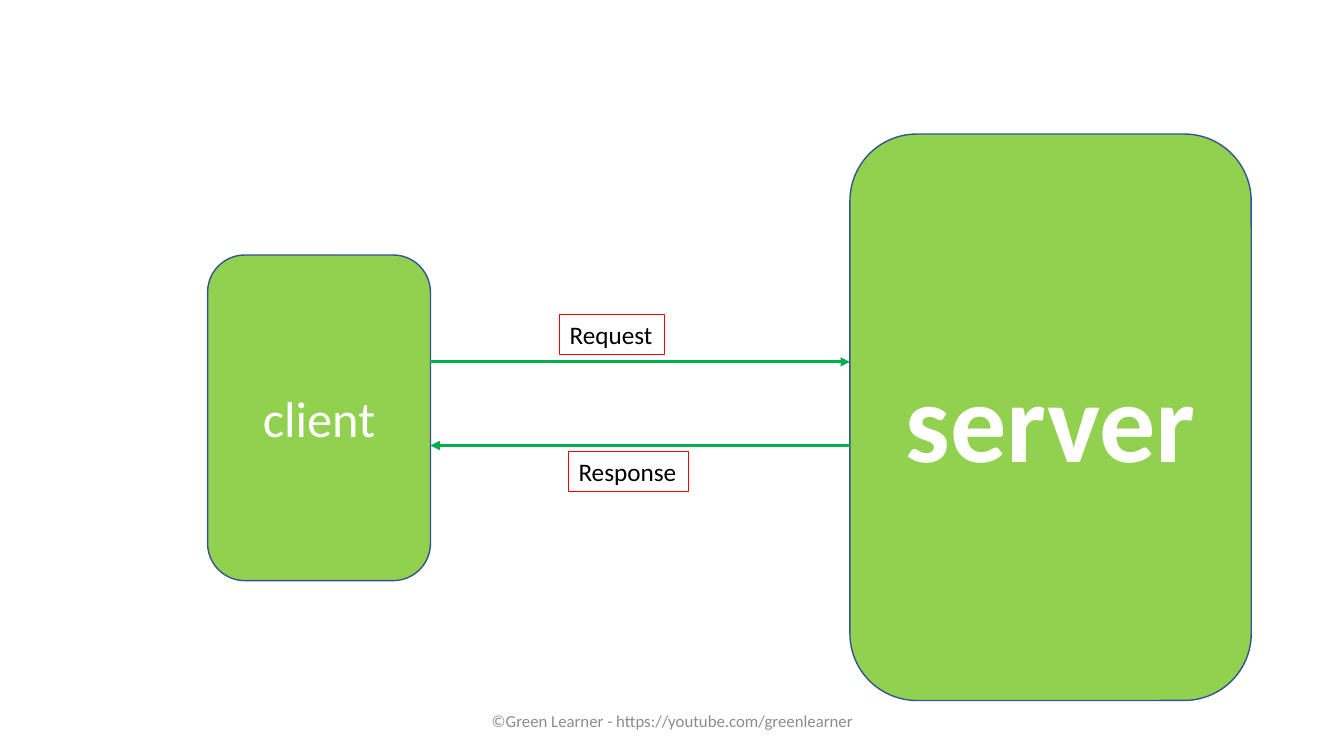
from lxml import etree
from pptx import Presentation
from pptx import util as u
from pptx.dml.color import RGBColor
from pptx.enum import shapes, text
from pptx.oxml.ns import qn

COLORS = {
    "box": "92D050", "outline": "325491", "arrow": "00B050", "label": "FF0000",
    "white": "FFFFFF", "black": "000000", "footer": "8C8C8C",
}

presentation = Presentation()
presentation.slide_width = u.Inches(13.33)
presentation.slide_height = u.Inches(7.5)
slide = presentation.slides.add_slide(presentation.slide_layouts[6])


def place(*percents):
    sizes = (presentation.slide_width, presentation.slide_height) * 2
    return [round(size * percent / 100) for size, percent in zip(sizes, percents)]


def write(shape, wording, size, color, alignment, bold=False):
    frame = shape.text_frame
    frame.text = wording
    frame.word_wrap = True
    frame.vertical_anchor = text.MSO_ANCHOR.MIDDLE
    paragraph = frame.paragraphs[0]
    paragraph.alignment = alignment
    font = paragraph.runs[0].font
    font.name = "Calibri"
    font.size = u.Pt(size)
    font.bold = bold
    font.color.rgb = RGBColor.from_string(COLORS[color])


footer = slide.shapes.add_textbox(*place(33.16, 92.67, 33.76, 5.33))
write(footer, "©Green Learner - https://youtube.com/greenlearner", 12, "footer", text.PP_ALIGN.CENTER)

client_right, server_left = 32.03, 63.24
client_width = 16.58

for wording, left, top, width, height, size, bold in (
    ("client", client_right - client_width, 33.73, client_width, 43.07, 36, False),
    ("server", server_left, 17.73, 29.86, 74.93, 80, True),
):
    box = slide.shapes.add_shape(
        shapes.MSO_SHAPE.ROUNDED_RECTANGLE, *place(left, top, width, height))
    box.shadow.inherit = False
    box.fill.solid()
    box.fill.fore_color.rgb = RGBColor.from_string(COLORS["box"])
    box.line.color.rgb = RGBColor.from_string(COLORS["outline"])
    box.line.width = u.Pt(1)
    write(box, wording, size, "white", text.PP_ALIGN.CENTER, bold)

for start, end, row in ((client_right, server_left, 47.87), (server_left, client_right, 58.93)):
    arrow = slide.shapes.add_connector(
        shapes.MSO_CONNECTOR.STRAIGHT, *place(start, row, end, row))
    arrow.line.color.rgb = RGBColor.from_string(COLORS["arrow"])
    arrow.line.width = u.Pt(2.25)
    properties = arrow.element.spPr
    etree.SubElement(properties.find(qn("a:ln")), qn("a:tailEnd"), type="triangle")
    etree.SubElement(properties, qn("a:effectLst"))

for wording, left, top, width in (("Request", 41.64, 41.6, 7.8), ("Response", 42.31, 59.73, 8.93)):
    label = slide.shapes.add_shape(shapes.MSO_SHAPE.RECTANGLE, *place(left, top, width, 5.33))
    label.shadow.inherit = False
    label.fill.background()
    label.line.color.rgb = RGBColor.from_string(COLORS["label"])
    label.line.width = u.Pt(0.75)
    write(label, wording, 18, "black", text.PP_ALIGN.LEFT)

presentation.save("out.pptx")
